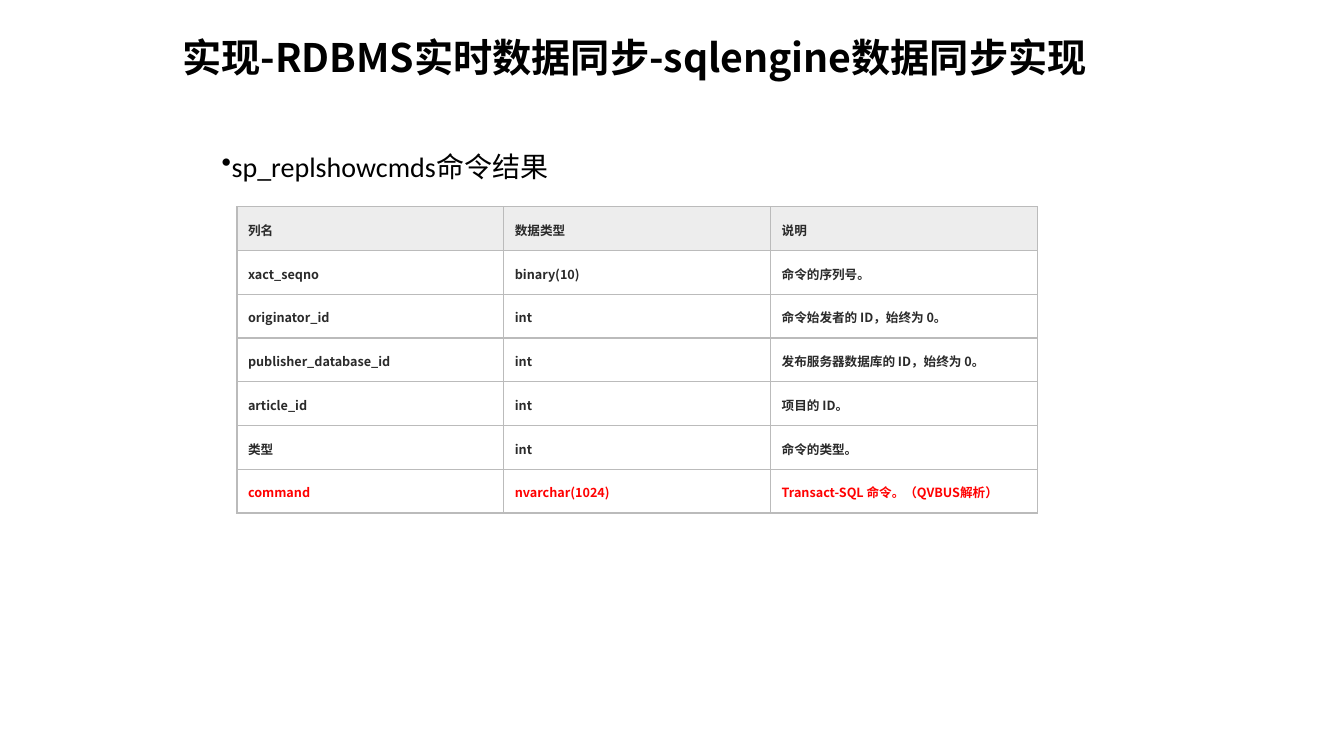
"""Build the slide on the result columns of sp_replshowcmds."""
from lxml import etree
from pptx import Presentation
from pptx.dml.color import RGBColor
from pptx.enum.text import MSO_ANCHOR
from pptx.oxml.ns import qn
from pptx.util import Inches, Pt

MIDDLE, TOP = MSO_ANCHOR.MIDDLE, MSO_ANCHOR.TOP

TITLE = "实现-RDBMS实时数据同步-sqlengine数据同步实现"
BULLET = "sp_replshowcmds命令结果"
ROWS = [
    ("列名", "数据类型", "说明"),
    ("xact_seqno", "binary(10)", "命令的序列号。"),
    ("originator_id", "int", "命令始发者的 ID，始终为\u00a00。"),
    ("publisher_database_id", "int", "发布服务器数据库的 ID，始终为\u00a00。"),
    ("article_id", "int", "项目的 ID。"),
    ("类型", "int", "命令的类型。"),
    ("command", "nvarchar(1024)", "Transact-SQL 命令。（QVBUS解析）"),
]
HIGHLIGHT = "command"

THEME = {
    "black": "000000", "text": "2A2A2A", "red": "FF0000",
    "header": "EDEDED", "body": "FFFFFF", "border": "BBBBBB",
    "cjk": "Noto Sans CJK SC", "latin": "Calibri",
    "title_size": 28, "bullet_size": 20, "cell_size": 9,
}


def add_run(p, text, size, color, font, bold=False):
    r = p.add_run()
    r.text = text
    r.font.size, r.font.bold, r.font.name = Pt(size), bold, font
    r.font.color.rgb = RGBColor.from_string(color)
    ea = etree.SubElement(r.font._element, qn("a:ea"))
    ea.set("typeface", THEME["cjk"])


def add_box(slide, left, top, width, height):
    tf = slide.shapes.add_textbox(*map(Inches, (left, top, width, height))).text_frame
    tf.word_wrap = True
    return tf.paragraphs[0]


def set_borders(cell):
    tc_pr = cell._tc.get_or_add_tcPr()
    for i, side in enumerate(("lnL", "lnR", "lnT", "lnB")):
        ln = etree.Element(qn(f"a:{side}"), w=str(Pt(1)))
        fill = etree.SubElement(ln, qn("a:solidFill"))
        etree.SubElement(fill, qn("a:srgbClr"), val=THEME["border"])
        tc_pr.insert(i, ln)


def add_grid(slide, left, top, width, height):
    frame = slide.shapes.add_table(len(ROWS), len(ROWS[0]),
                                   *map(Inches, (left, top, width, height)))
    table = frame.table
    table.first_row = table.horz_banding = False
    for i, row in enumerate(ROWS):
        color = THEME["red" if row[0] == HIGHLIGHT else "text"]
        for j, text in enumerate(row):
            cell = table.cell(i, j)
            cell.margin_left = cell.margin_right = Inches(0.11)
            cell.margin_top = cell.margin_bottom = Inches(0.14)
            cell.vertical_anchor = TOP if i else MIDDLE
            cell.fill.solid()
            cell.fill.fore_color.rgb = RGBColor.from_string(
                THEME["body" if i else "header"])
            set_borders(cell)
            add_run(cell.text_frame.paragraphs[0], text, THEME["cell_size"],
                    color, THEME["cjk"], True)


prs = Presentation()
prs.slide_width, prs.slide_height = Inches(13.33), Inches(7.5)
slide = prs.slides.add_slide(prs.slide_layouts[6])

p = add_box(slide, 1.71, 0.28, 10.08, 0.6)
add_run(p, TITLE, THEME["title_size"], THEME["black"], THEME["cjk"], True)

p = add_box(slide, 2.1, 1.43, 9.13, 0.74)
etree.SubElement(p._p.get_or_add_pPr(), qn("a:buChar"), char="•")
add_run(p, BULLET, THEME["bullet_size"], THEME["black"], THEME["latin"])

add_grid(slide, 2.35, 2.05, 7.94, 3.04)
prs.save("out.pptx")
